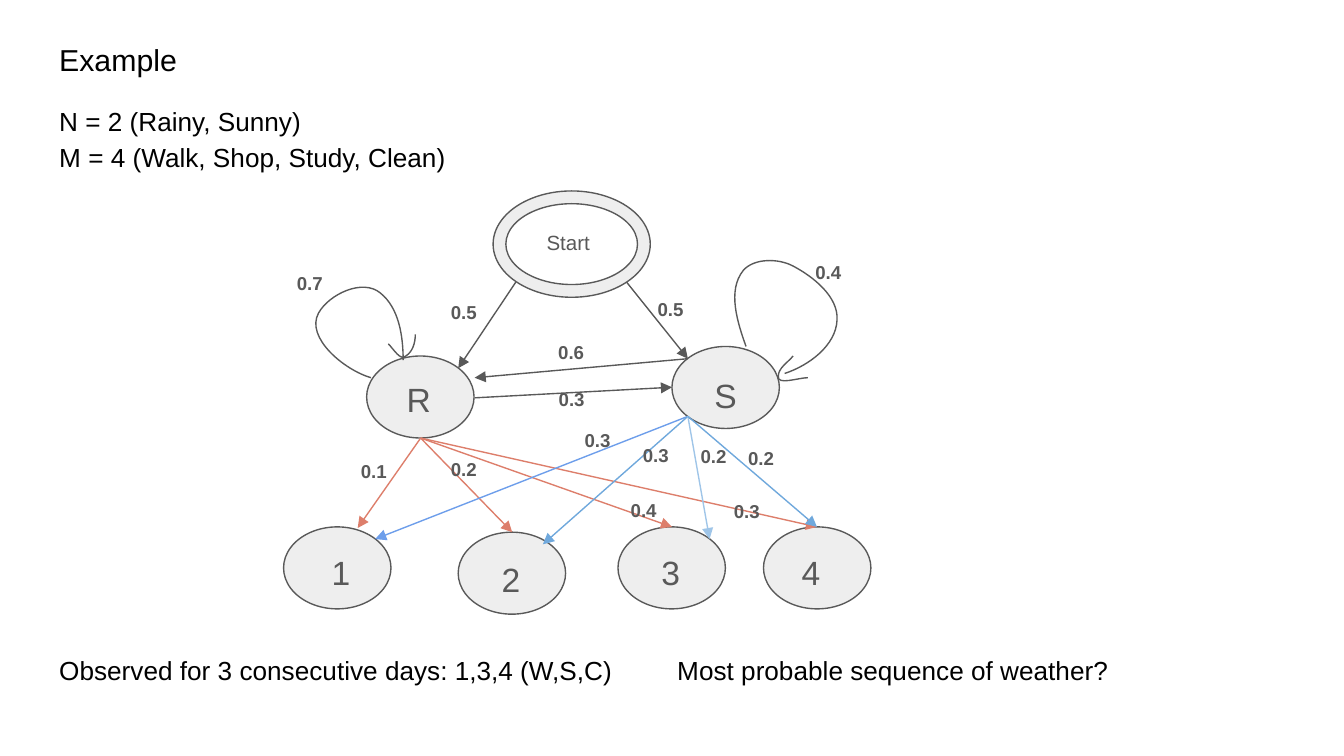
from dataclasses import dataclass

from lxml import etree
from pptx import Presentation
from pptx import util as u
from pptx.dml.color import RGBColor
from pptx.enum import shapes, text
from pptx.oxml import ns

BLACK = RGBColor(0x00, 0x00, 0x00)
GRAY = RGBColor(0x59, 0x59, 0x59)
LIGHT_GRAY = RGBColor(0xEE, 0xEE, 0xEE)
RED = RGBColor(0xDD, 0x7E, 0x6B)
BLUE = RGBColor(0x6D, 0x9E, 0xEB)
SKY_BLUE = RGBColor(0x6F, 0xA8, 0xDC)
PALE_BLUE = RGBColor(0x9F, 0xC5, 0xE8)

LINE_WIDTH = u.Pt(0.75)
PROBABILITY_SIZE = (1.09, 0.94)
QUESTION_TAB = u.Cm(11.68)

HEADING = {"size": u.Pt(16.2)}
BODY = {"size": u.Pt(14)}
START = {"size": u.Pt(11)}
STATE = {"size": u.Pt(18)}
PROBABILITY = {"size": u.Pt(10), "bold": True}

Point = tuple[float, float]


# All lengths in the records are centimetres
@dataclass
class Label:
    lines: str
    position: Point
    size: Point
    font: dict
    color: RGBColor = GRAY
    paragraph: dict | None = None


@dataclass
class Node:
    position: Point
    size: Point = (2.03, 1.55)
    kind: shapes.MSO_SHAPE = shapes.MSO_SHAPE.OVAL


@dataclass
class Arrow:
    start: Point
    end: Point
    color: RGBColor = GRAY


@dataclass
class Curve:
    top_left: Point
    bottom_right: Point
    start: Point
    segments: list[tuple[Point, Point, Point]]


def set_format(target, values: dict) -> None:
    for name, value in values.items():
        setattr(target, name, value)


def set_line(shape, color: RGBColor) -> None:
    shape.line.color.rgb = color
    shape.line.width = LINE_WIDTH


def add_label(slide, label: Label):
    shape = slide.shapes.add_textbox(*map(u.Cm, label.position + label.size))
    frame = shape.text_frame
    margins = dict.fromkeys(
        ("margin_left", "margin_top", "margin_right", "margin_bottom"), u.Cm(0.25))
    set_format(frame, {"word_wrap": True, "vertical_anchor": text.MSO_ANCHOR.TOP, **margins})
    frame.text = label.lines
    for paragraph in frame.paragraphs:
        set_format(paragraph, label.paragraph or {})
        for run in paragraph.runs:
            set_format(run.font, {"name": "Arial", **label.font})
            run.font.color.rgb = label.color
    return shape


def add_node(slide, node: Node) -> None:
    shape = slide.shapes.add_shape(node.kind, *map(u.Cm, node.position + node.size))
    shape.shadow.inherit = False
    shape.fill.solid()
    shape.fill.fore_color.rgb = LIGHT_GRAY
    set_line(shape, GRAY)
    if node.kind == shapes.MSO_SHAPE.DONUT:
        shape.adjustments[0] = 0.12


def add_arrow(slide, arrow: Arrow) -> None:
    connector = slide.shapes.add_connector(
        shapes.MSO_CONNECTOR.STRAIGHT, *map(u.Cm, arrow.start + arrow.end))
    set_line(connector, arrow.color)
    etree.SubElement(connector.line._get_or_add_ln(), ns.qn("a:tailEnd"), type="triangle")
    etree.SubElement(connector._element.spPr, ns.qn("a:effectLst"))


def add_curve(slide, curve: Curve) -> None:
    # The box fixes the size; its outline then becomes Bezier segments
    builder = slide.shapes.build_freeform(*map(u.Cm, curve.top_left))
    builder.add_line_segments([tuple(map(u.Cm, curve.bottom_right))], close=False)
    shape = builder.convert_to_shape()
    outline = shape._element.spPr.find(".//" + ns.qn("a:path"))
    for command in list(outline):
        outline.remove(command)
    commands = [("a:moveTo", (curve.start,))]
    commands += [("a:cubicBezTo", segment) for segment in curve.segments]
    for tag, points in commands:
        command = etree.SubElement(outline, ns.qn(tag))
        for x, y in points:
            etree.SubElement(command, ns.qn("a:pt"), x=str(u.Cm(x) - shape.left),
                             y=str(u.Cm(y) - shape.top))
    shape.shadow.inherit = False
    shape.fill.background()
    set_line(shape, GRAY)


# Heading, model and question
TITLE = Label("Example", (0.87, 0.53), (23.67, 1.04), HEADING, BLACK)
BODY_TEXT = Label(
    "N = 2 (Rainy, Sunny)\vM = 4 (Walk, Shop, Study, Clean)\n"
    "Observed for 3 consecutive days: 1,3,4 (W,S,C)\tMost probable sequence of weather?",
    (0.87, 1.65), (23.67, 11.91), BODY, BLACK, {"line_spacing": 1.15})

# States and observations
NODES = [
    Node((6.93, 6.73)),
    Node((9.32, 3.61), (2.97, 2.01), shapes.MSO_SHAPE.DONUT),
    Node((12.7, 6.55)),
    Node((5.36, 9.96)),
    Node((8.66, 10.06)),
    Node((11.68, 9.96)),
    Node((14.43, 9.96)),
]
NODE_LABELS = [
    Label("Start", (10.08, 4.12), (1.42, 0.99), START),
    Label("R", (7.05, 7.06), (1.73, 1.14), STATE,
          paragraph={"line_spacing": 0.8, "alignment": text.PP_ALIGN.CENTER}),
    Label("S", (13.25, 6.83), (1.14, 1.35), STATE),
    Label("1", (6.02, 10.19), (1.19, 0.86), STATE),
    Label("2", (9.23, 10.31), (1.09, 0.61), STATE),
    Label("3", (12.25, 10.19), (1.09, 0.61), STATE),
    Label("4", (14.9, 10.19), (1.09, 0.61), STATE),
]

# Transitions and emissions
RAINY_EXIT = (7.95, 8.28)
SUNNY_EXIT = (13, 7.87)
START_ARROWS = [Arrow((9.75, 5.33), (8.66, 6.96)), Arrow((11.84, 5.33), (13, 6.78))]
RAINY_ARROWS = [
    Arrow(RAINY_EXIT, end, RED)
    for end in [(6.76, 9.98), (9.68, 10.06), (12.7, 9.96), (15.44, 9.96)]
]
SUNNY_ARROWS = [
    Arrow(SUNNY_EXIT, (7.09, 10.19), BLUE),
    Arrow(SUNNY_EXIT, (10.26, 10.29), SKY_BLUE),
    Arrow(SUNNY_EXIT, (13.41, 10.19), PALE_BLUE),
    Arrow(SUNNY_EXIT, (15.44, 9.96), SKY_BLUE),
]
WEATHER_ARROWS = [Arrow((8.97, 7.52), (12.7, 7.32)), Arrow((13, 6.78), (8.97, 7.14))]

# Self loops and their hand-drawn heads
CURVES = [
    Curve((13.89, 4.93), (15.85, 7.06), (14.1, 6.55),
          [((13.94, 6.1), (13.74, 5.49), (14.05, 5.11)),
           ((14.25, 4.88), (14.71, 4.88), (14.99, 5.03)),
           ((15.37, 5.23), (15.85, 5.61), (15.82, 6.05)),
           ((15.8, 6.53), (15.29, 6.91), (14.83, 7.06))]),
    Curve((5.97, 5.44), (7.62, 7.15), (7.01, 7.14),
          [((6.5, 6.99), (5.77, 6.38), (6.02, 5.92)),
           ((6.22, 5.56), (6.86, 5.26), (7.19, 5.54)),
           ((7.54, 5.82), (7.62, 6.35), (7.62, 6.81))]),
    Curve((14.71, 6.73), (15.28, 7.18), (14.99, 6.73),
          [((14.88, 6.86), (14.71, 6.96), (14.71, 7.11)),
           ((14.68, 7.29), (15.09, 7.14), (15.27, 7.14))]),
    Curve((7.34, 6.32), (7.86, 6.76), (7.34, 6.5),
          [((7.44, 6.6), (7.57, 6.83), (7.67, 6.73)),
           ((7.8, 6.65), (7.85, 6.48), (7.85, 6.32))]),
]

PROBABILITIES = [
    ("0.7", (5.36, 4.93)), ("0.4", (15.16, 4.72)), ("0.5", (8.27, 5.47)),
    ("0.5", (12.18, 5.41)), ("0.6", (10.3, 6.23)), ("0.3", (10.31, 7.11)),
    ("0.1", (6.57, 8.48)), ("0.2", (8.27, 8.44)), ("0.3", (13.62, 9.24)),
    ("0.4", (11.67, 9.22)), ("0.3", (10.8, 7.9)), ("0.3", (11.9, 8.18)),
    ("0.2", (12.99, 8.2)), ("0.2", (13.89, 8.23)),
]


def main() -> None:
    presentation = Presentation()
    set_format(presentation, {"slide_width": u.Cm(25.4), "slide_height": u.Cm(14.29)})
    slide = presentation.slides.add_slide(presentation.slide_layouts[6])

    add_label(slide, TITLE)
    question = add_label(slide, BODY_TEXT).text_frame.paragraphs[-1]
    question.space_before = u.Pt(255.5)
    tabs = etree.SubElement(question._p.get_or_add_pPr(), ns.qn("a:tabLst"))
    etree.SubElement(tabs, ns.qn("a:tab"), pos=str(QUESTION_TAB), algn="l")

    for node in NODES:
        add_node(slide, node)
    for arrow in START_ARROWS + RAINY_ARROWS:
        add_arrow(slide, arrow)
    for label in NODE_LABELS:
        add_label(slide, label)
    for arrow in SUNNY_ARROWS:
        add_arrow(slide, arrow)
    for curve in CURVES:
        add_curve(slide, curve)
    for arrow in WEATHER_ARROWS:
        add_arrow(slide, arrow)
    for value, position in PROBABILITIES:
        add_label(slide, Label(value, position, PROBABILITY_SIZE, PROBABILITY))

    presentation.save("out.pptx")


if __name__ == "__main__":
    main()
